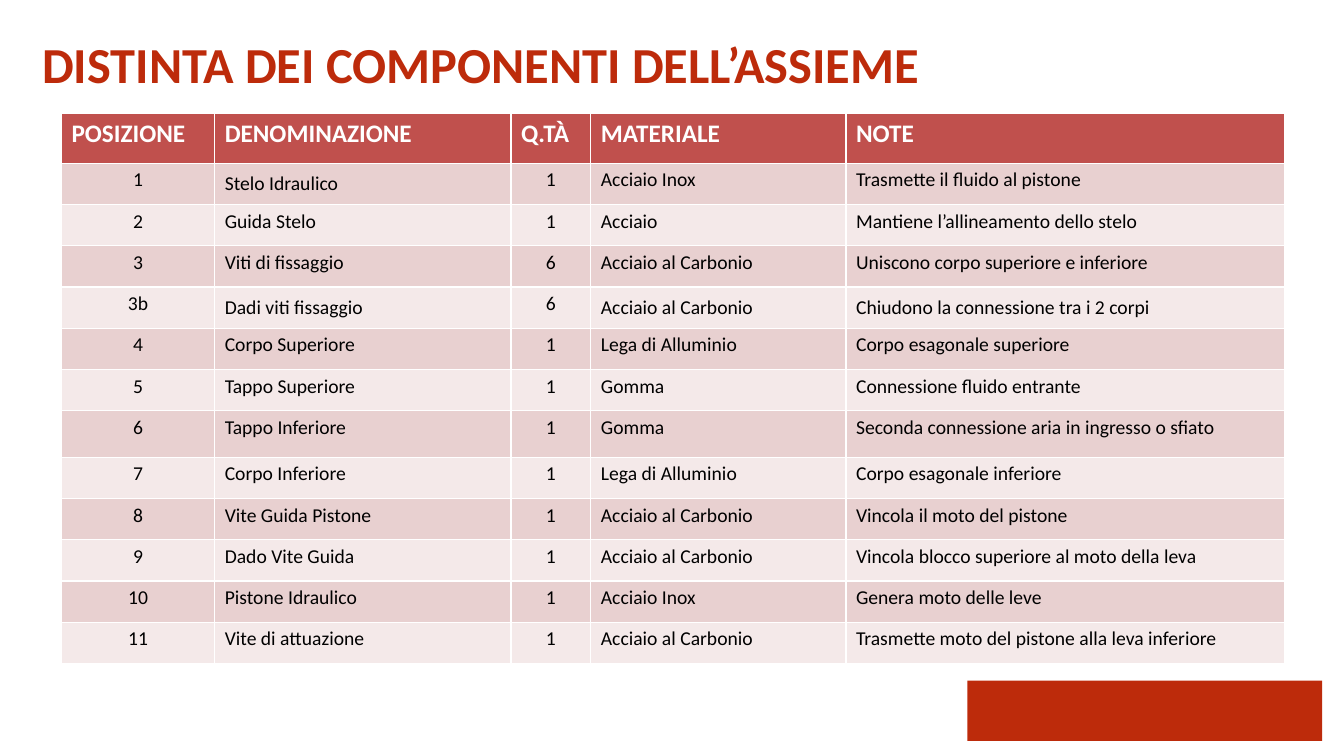
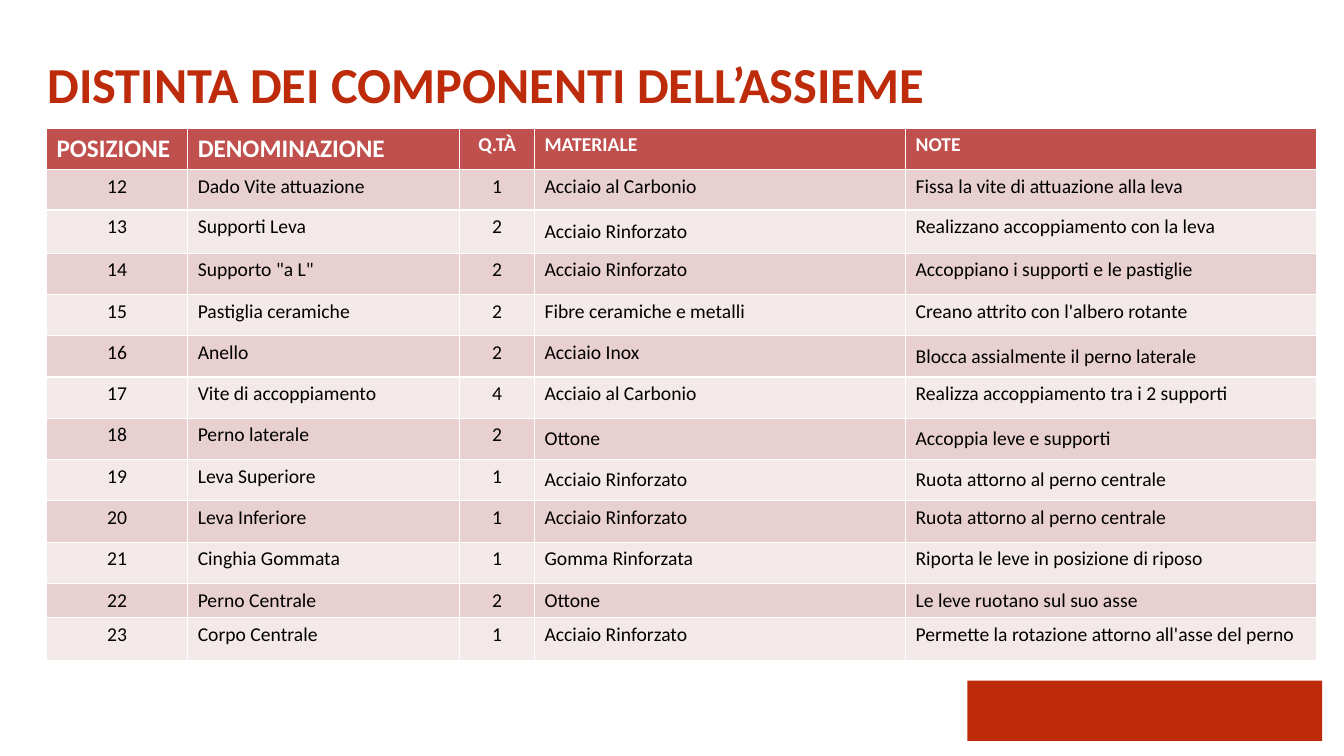
from pptx import Presentation
from pptx.dml.color import RGBColor
from pptx.enum.shapes import MSO_SHAPE as SHAPE
from pptx.enum.text import MSO_ANCHOR as ANCHOR, MSO_AUTO_SIZE as FIT, PP_ALIGN as ALIGN
from pptx.util import Cm, Pt

# Shared style
COLORS = {"accent": "BD2B0B", "header": "C0504D", "odd": "E8D0D0",
          "even": "F4E9E9", "white": "FFFFFF", "black": "000000"}
FONT = "Calibri"
TITLE = "DISTINTA DEI COMPONENTI DELL’ASSIEME"
HEADER = ("POSIZIONE", "DENOMINAZIONE", "Q.TÀ", "MATERIALE", "NOTE")
CENTERED = (0, 2)  # columns for position and quantity
ROW = 1.04

# Components: position, name, quantity, material, notes
parts_1 = [
    ("1", "Stelo Idraulico", "1", "Acciaio Inox", "Trasmette il fluido al pistone"),
    ("2", "Guida Stelo", "1", "Acciaio", "Mantiene l’allineamento dello stelo"),
    ("3", "Viti di fissaggio", "6", "Acciaio al Carbonio", "Uniscono corpo superiore e inferiore"),
    ("3b", "Dadi viti fissaggio", "6", "Acciaio al Carbonio", "Chiudono la connessione tra i 2 corpi"),
    ("4", "Corpo Superiore", "1", "Lega di Alluminio", "Corpo esagonale superiore"),
    ("5", "Tappo Superiore", "1", "Gomma", "Connessione fluido entrante"),
    ("6", "Tappo Inferiore", "1", "Gomma", "Seconda connessione aria in ingresso o sfiato"),
    ("7", "Corpo Inferiore", "1", "Lega di Alluminio", "Corpo esagonale inferiore"),
    ("8", "Vite Guida Pistone", "1", "Acciaio al Carbonio", "Vincola il moto del pistone"),
    ("9", "Dado Vite Guida", "1", "Acciaio al Carbonio", "Vincola blocco superiore al moto della leva"),
    ("10", "Pistone Idraulico", "1", "Acciaio Inox", "Genera moto delle leve"),
    ("11", "Vite di attuazione", "1", "Acciaio al Carbonio", "Trasmette moto del pistone alla leva inferiore"),
]
parts_2 = [
    ("12", "Dado Vite attuazione", "1", "Acciaio al Carbonio", "Fissa la vite di attuazione alla leva"),
    ("13", "Supporti Leva", "2", "Acciaio Rinforzato", "Realizzano accoppiamento con la leva"),
    ("14", "Supporto \"a L\"", "2", "Acciaio Rinforzato", "Accoppiano i supporti e le pastiglie"),
    ("15", "Pastiglia ceramiche", "2", "Fibre ceramiche e metalli", "Creano attrito con l'albero rotante"),
    ("16", "Anello", "2", "Acciaio Inox", "Blocca assialmente il perno laterale"),
    ("17", "Vite di accoppiamento", "4", "Acciaio al Carbonio", "Realizza accoppiamento tra i 2 supporti"),
    ("18", "Perno laterale", "2", "Ottone", "Accoppia leve e supporti"),
    ("19", "Leva Superiore", "1", "Acciaio Rinforzato", "Ruota attorno al perno centrale"),
    ("20", "Leva Inferiore", "1", "Acciaio Rinforzato", "Ruota attorno al perno centrale"),
    ("21", "Cinghia Gommata", "1", "Gomma Rinforzata", "Riporta le leve in posizione di riposo"),
    ("22", "Perno Centrale", "2", "Ottone", "Le leve ruotano sul suo asse"),
    ("23", "Corpo Centrale", "1", "Acciaio Rinforzato", "Permette la rotazione attorno all'asse del perno"),
]

# What differs between the slides; lengths in cm, "heights" lists the rows unlike ROW
slides = [
    {"title": (0.81, 0.71), "table": (1.55, 2.87), "parts": parts_1,
     "widths": (3.86, 7.47, 2.01, 6.43, 11.05), "heights": {0: 1.24, 7: 1.17},
     "header_sizes": (18, 18, 18, 18, 18), "header_centered": (),
     "middle": {(1, 1), (4, 1), (4, 3), (4, 4)}},
    {"title": (0.94, 1.22), "table": (1.17, 3.23), "parts": parts_2,
     "widths": (3.56, 6.86, 1.88, 9.35, 10.36), "heights": {1: 1.02, 2: 1.09, 11: 0.81, 12: 1.09},
     "header_sizes": (18, 18, 14, 14, 14), "header_centered": (2,),
     "middle": {(2, 3), (5, 4), (7, 3), (7, 4), (8, 3), (8, 4)}},
]


def rgb(name):
    return RGBColor.from_string(COLORS[name])


def style_text(p, size, color, bold, align):
    p.alignment = align
    for r in p.runs:
        r.font.name = FONT
        r.font.size = Pt(size)
        r.font.bold = bold
        r.font.color.rgb = rgb(color)


prs = Presentation()
prs.slide_width, prs.slide_height = Cm(33.87), Cm(19.05)

for data in slides:
    s = prs.slides.add_slide(prs.slide_layouts[5])

    # Footer band
    band = s.shapes.add_shape(SHAPE.RECTANGLE, Cm(24.38), Cm(17.15), Cm(8.94), Cm(1.52))
    band.shadow.inherit = False
    band.fill.solid()
    band.fill.fore_color.rgb = rgb("accent")
    band.line.fill.background()

    # Title
    title = s.shapes.title
    title.left, title.top = (Cm(v) for v in data["title"])
    title.width, title.height = Cm(23.6), Cm(1.8)
    tf = title.text_frame
    tf.text = TITLE
    tf.word_wrap = True
    tf.auto_size = FIT.NONE
    tf.vertical_anchor = ANCHOR.TOP
    style_text(tf.paragraphs[0], 36, "accent", True, ALIGN.LEFT)

    # Table
    rows = [HEADER] + data["parts"]
    heights = [data["heights"].get(i, ROW) for i in range(len(rows))]
    left, top = data["table"]
    table = s.shapes.add_table(len(rows), len(HEADER), Cm(left), Cm(top),
                               Cm(sum(data["widths"])), Cm(sum(heights))).table
    for column, width in zip(table.columns, data["widths"]):
        column.width = Cm(width)
    for i, (values, height) in enumerate(zip(rows, heights)):
        table.rows[i].height = Cm(height)
        is_header = i == 0
        fill = "header" if is_header else "odd" if i % 2 else "even"
        centered = data["header_centered"] if is_header else CENTERED
        for j, value in enumerate(values):
            cell = table.cell(i, j)
            cell.fill.solid()
            cell.fill.fore_color.rgb = rgb(fill)
            cell.vertical_anchor = ANCHOR.MIDDLE if (i, j) in data["middle"] else ANCHOR.TOP
            cell.text_frame.text = value
            style_text(cell.text_frame.paragraphs[0],
                       data["header_sizes"][j] if is_header else 14,
                       "white" if is_header else "black", is_header,
                       ALIGN.CENTER if j in centered else ALIGN.LEFT)

prs.save("out.pptx")
